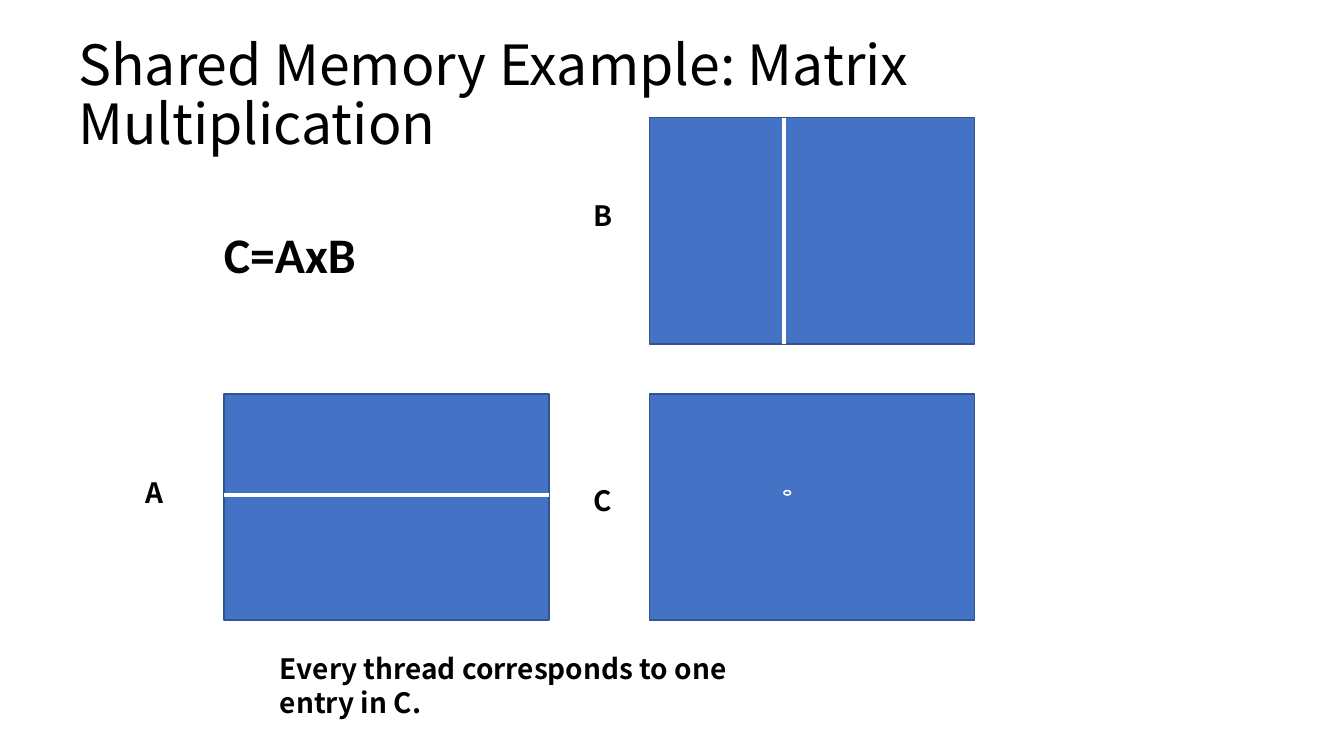
"""Build the slide that explains matrix multiplication with shared memory."""
import pptx
import pptx.dml.color
import pptx.enum.shapes
import pptx.enum.text
import pptx.oxml.ns
import pptx.util
from lxml import etree

Cm = pptx.util.Cm
Pt = pptx.util.Pt
SHAPE = pptx.enum.shapes.MSO_SHAPE
ALIGN = pptx.enum.text.PP_ALIGN
ANCHOR = pptx.enum.text.MSO_ANCHOR
AUTO = pptx.enum.text.MSO_AUTO_SIZE

COLORS = {"text": "000000", "matrix": "4472C4", "edge": "325491", "mark": "FFFFFF"}
SANS = "Noto Sans CJK SC"
MATRIX_W, MATRIX_H = 7.37, 5.13
LEFT_COL, RIGHT_COL = 5.08, 14.73
TOP_ROW, BOTTOM_ROW = 2.67, 8.94
ROW_Y, COLUMN_X = 11.23, 17.78


class Deck:
    """Hold the style and the current slide."""

    def __init__(self, prs):
        self.s = prs.slides.add_slide(prs.slide_layouts[5])

    def color(self, name):
        return pptx.dml.color.RGBColor.from_string(COLORS[name])

    def run(self, p, text, size, bold, font):
        r = p.add_run()
        r.text = text
        r.font.name = font
        r.font.size = Pt(size)
        r.font.bold = bold
        r.font.color.rgb = self.color("text")

    def title(self, text, x, y, w, h):
        sp = self.s.shapes.title
        sp.left, sp.top, sp.width, sp.height = Cm(x), Cm(y), Cm(w), Cm(h)
        tf = sp.text_frame
        tf.auto_size = AUTO.NONE
        tf.vertical_anchor = ANCHOR.MIDDLE
        p = tf.paragraphs[0]
        p.alignment = ALIGN.LEFT
        p.line_spacing = 0.9
        self.run(p, text, 35.6, False, SANS)

    def text(self, text, x, y, w, h, size=18, font=SANS, wrap=False):
        tf = self.s.shapes.add_textbox(Cm(x), Cm(y), Cm(w), Cm(h)).text_frame
        tf.word_wrap = wrap
        tf.auto_size = AUTO.SHAPE_TO_FIT_TEXT
        self.run(tf.paragraphs[0], text, size, True, font)
        return tf

    def formula(self, text, x, y, w, h):
        tf = self.text(text, x, y, w, h, 32, "Calibri")
        tf.margin_left = tf.margin_right = tf.margin_top = tf.margin_bottom = 0
        tf.vertical_anchor = ANCHOR.MIDDLE
        tf.paragraphs[0].alignment = ALIGN.CENTER

    def shape(self, kind, x, y, w, h, edge):
        sp = self.s.shapes.add_shape(kind, Cm(x), Cm(y), Cm(w), Cm(h))
        sp.shadow.inherit = False
        sp.fill.solid()
        sp.fill.fore_color.rgb = self.color("matrix")
        sp.line.color.rgb = self.color(edge)
        sp.line.width = Pt(1)

    def line(self, x1, y1, x2, y2):
        sp = self.s.shapes.add_connector(
            pptx.enum.shapes.MSO_CONNECTOR.STRAIGHT, Cm(x1), Cm(y1), Cm(x2), Cm(y2))
        sp.line.color.rgb = self.color("mark")
        sp.line.width = Pt(3)
        etree.SubElement(sp._element.spPr, pptx.oxml.ns.qn("a:effectLst"))


def main():
    prs = pptx.Presentation()
    prs.slide_width, prs.slide_height = Cm(30.48), Cm(17.15)
    deck = Deck(prs)
    deck.title("Shared Memory Example: Matrix Multiplication", 1.52, 0.69, 24.64, 3.02)

    for x, y in ((RIGHT_COL, BOTTOM_ROW), (LEFT_COL, BOTTOM_ROW), (RIGHT_COL, TOP_ROW)):
        deck.shape(SHAPE.RECTANGLE, x, y, MATRIX_W, MATRIX_H, "edge")
    for name, x, y in (("A", 3.05, 10.67), ("B", 13.21, 4.37), ("C", 13.21, 10.85)):
        deck.text(name, x, y, 0.88, 1.02)
    deck.formula("C=AxB", 4.67, 5.05, 3.81, 1.4)

    deck.shape(SHAPE.OVAL, COLUMN_X, 11.13, 0.15, 0.1, "mark")
    deck.line(LEFT_COL, ROW_Y, LEFT_COL + MATRIX_W, ROW_Y)
    deck.line(COLUMN_X, TOP_ROW, COLUMN_X, TOP_ROW + MATRIX_H)
    deck.text("Every thread corresponds to one entry in C.", 6.1, 14.66, 11.99, 1.02, wrap=True)
    prs.save("out.pptx")


if __name__ == "__main__":
    main()
